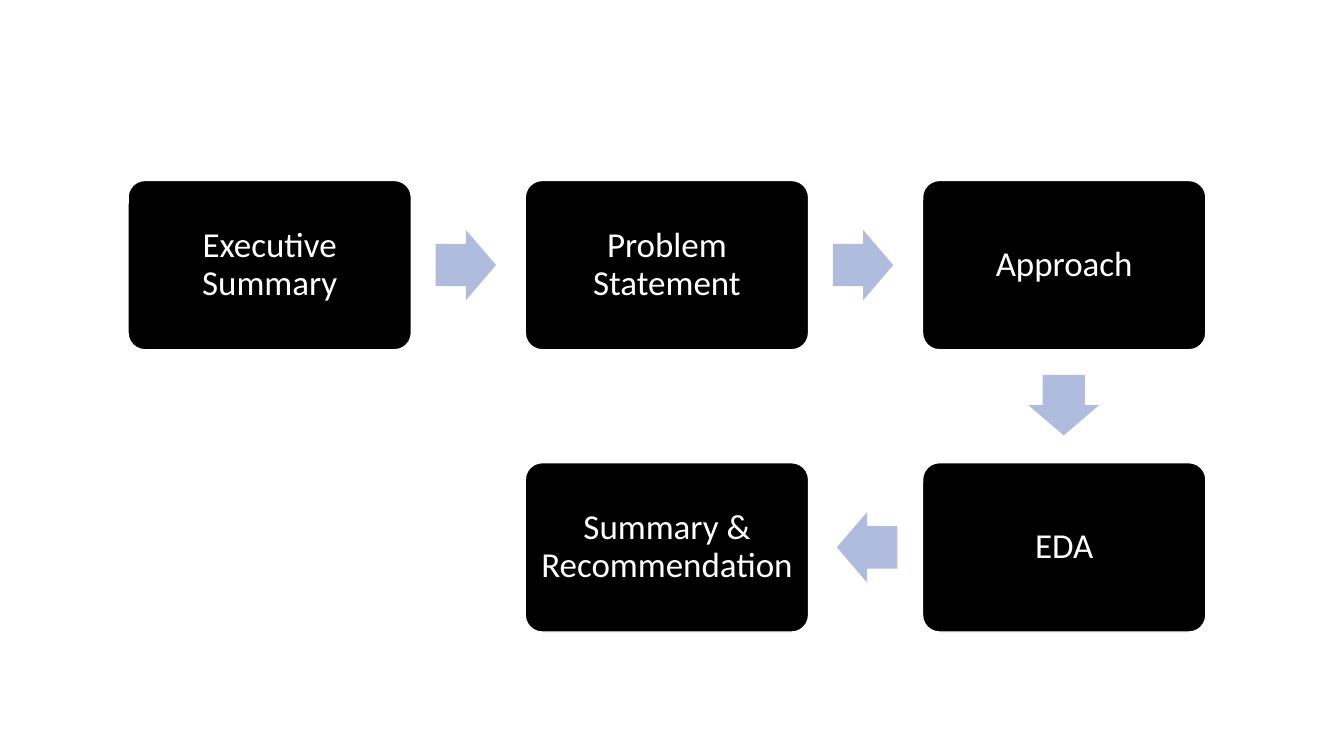
import pptx
import pptx.util
import pptx.dml.color
import pptx.enum.shapes
import pptx.enum.text

SHAPES = pptx.enum.shapes.MSO_SHAPE
PX = 9144


def color(hex_string):
    return pptx.dml.color.RGBColor.from_string(hex_string)


class FlowSlide:
    font_name = "Calibri"
    font_size = 25
    box_fill = "000000"
    arrow_fill = "B0BCDE"
    white = "FFFFFF"
    left, top = 127, 179
    column_step, row_step = 394, 280
    box_width, box_height = 281, 168
    arrow_length, arrow_width = 60, 70
    arrow_gap = 25
    text_inset = 9

    def __init__(self, presentation):
        self.slide = presentation.slides.add_slide(presentation.slide_layouts[6])

    def add_shape(self, kind, left, top, width, height, fill):
        shape = self.slide.shapes.add_shape(
            kind, left * PX, top * PX, width * PX, height * PX
        )
        shape.shadow.inherit = False
        shape.fill.solid()
        shape.fill.fore_color.rgb = color(fill)
        return shape

    def corner(self, column, row):
        return self.left + column * self.column_step, self.top + row * self.row_step

    def box(self, text, column, row):
        left, top = self.corner(column, row)
        shape = self.add_shape(
            SHAPES.ROUNDED_RECTANGLE,
            left, top, self.box_width, self.box_height, self.box_fill,
        )
        shape.adjustments[0] = 0.1
        shape.line.color.rgb = color(self.white)
        shape.line.width = pptx.util.Pt(1)
        text_frame = shape.text_frame
        text_frame.text = text
        text_frame.word_wrap = True
        text_frame.vertical_anchor = pptx.enum.text.MSO_ANCHOR.MIDDLE
        text_frame.margin_left = text_frame.margin_right = self.text_inset * PX
        text_frame.margin_top = text_frame.margin_bottom = self.text_inset * PX
        paragraph = text_frame.paragraphs[0]
        paragraph.alignment = pptx.enum.text.PP_ALIGN.CENTER
        paragraph.line_spacing = 0.9
        font = paragraph.runs[0].font
        font.name = self.font_name
        font.size = pptx.util.Pt(self.font_size)
        font.color.rgb = color(self.white)

    def arrow(self, start, end):
        across, down = end[0] - start[0], end[1] - start[1]
        left, top = self.corner(*start)
        reach = self.arrow_gap + self.arrow_length // 2
        center_x = left + self.box_width // 2 + across * (self.box_width // 2 + reach)
        center_y = top + self.box_height // 2 + down * (self.box_height // 2 + reach)
        shape = self.add_shape(
            SHAPES.RIGHT_ARROW,
            center_x - self.arrow_length // 2, center_y - self.arrow_width // 2,
            self.arrow_length, self.arrow_width, self.arrow_fill,
        )
        shape.adjustments[0] = 0.6
        shape.adjustments[1] = 0.5
        shape.line.fill.background()
        shape.rotation = {(1, 0): 0, (0, 1): 90, (-1, 0): 180}[across, down]


def main():
    presentation = pptx.Presentation()
    presentation.slide_width = 1333 * PX
    presentation.slide_height = 750 * PX
    flow = FlowSlide(presentation)
    steps = [
        ("Executive Summary", (0, 0)),
        ("Problem Statement", (1, 0)),
        ("Approach", (2, 0)),
        ("EDA", (2, 1)),
        ("Summary & Recommendation", (1, 1)),
    ]
    for text, cell in steps:
        flow.box(text, *cell)
    for (_, start), (_, end) in zip(steps, steps[1:]):
        flow.arrow(start, end)
    presentation.save("out.pptx")


if __name__ == "__main__":
    main()
